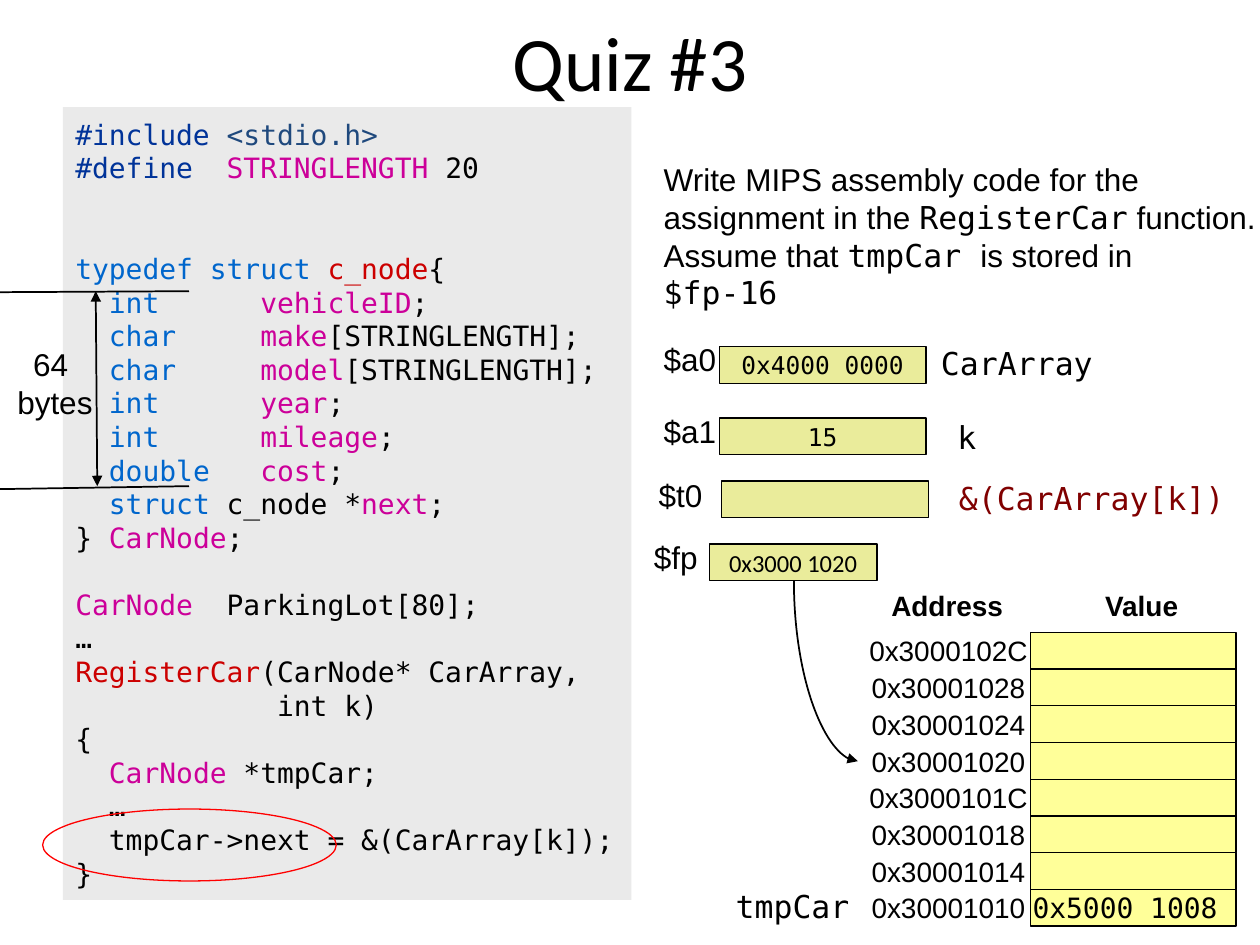
from dataclasses import dataclass
from typing import NamedTuple

from lxml import etree
from pptx import Presentation
from pptx.dml.color import RGBColor
from pptx.enum.shapes import MSO_CONNECTOR, MSO_SHAPE
from pptx.enum.text import MSO_ANCHOR, MSO_AUTO_SIZE, PP_ALIGN
from pptx.oxml.ns import qn
from pptx.util import Cm, Pt

RECT, OVAL = MSO_SHAPE.RECTANGLE, MSO_SHAPE.OVAL
LINE, CURVE = MSO_CONNECTOR.STRAIGHT, MSO_CONNECTOR.CURVE
LEFT, MID = PP_ALIGN.LEFT, PP_ALIGN.CENTER
TOP, CENTER = MSO_ANCHOR.TOP, MSO_ANCHOR.MIDDLE
GROW = MSO_AUTO_SIZE.SHAPE_TO_FIT_TEXT
SANS, MONO, HEAD = "Arial", "DejaVu Sans Mono", "Calibri"
BLACK, NAVY, BLUE, RED, PINK = "000000", "003399", "0066CC", "CC0000", "CC0099"
MAROON, OLIVE, YELLOW, GRAY = "800000", "EAEC9B", "FFFF99", "EAEAEA"
ROW = 0.74


class Run(NamedTuple):
    text: str
    ink: str = BLACK
    face: str = ""


@dataclass
class Para:
    runs: list[Run]
    gap: float = 0


@dataclass
class Style:
    face: str = SANS
    size: float = 18
    align: PP_ALIGN = LEFT
    anchor: MSO_ANCHOR = TOP
    bold: bool = False
    wrap: bool = False


class Box(NamedTuple):
    x: float
    y: float
    w: float
    h: float = 1.02


class Label(NamedTuple):
    text: str
    box: Box
    style: Style
    ink: str = BLACK


class Cell(NamedTuple):
    text: str
    box: Box
    face: str = MONO
    size: float = 14
    fill: str = OLIVE
    wrap: bool = True


def color(code: str) -> RGBColor:
    return RGBColor.from_string(code)


def plain(text: str, ink: str = BLACK) -> Para:
    return Para([Run(text, ink)])


def field(kind: str, name: str, tail: str = ";") -> Para:
    return Para([Run("  "), Run(kind.ljust(9), BLUE), Run(name, PINK), Run(tail)])


def write(shape, paras: list[Para], style: Style) -> None:
    frame = shape.text_frame
    frame.word_wrap = style.wrap
    frame.vertical_anchor = style.anchor
    for i, para in enumerate(paras):
        p = frame.add_paragraph() if i else frame.paragraphs[0]
        p.alignment = style.align
        p.font.size, p.font.bold = Pt(style.size), style.bold
        if para.gap:
            p.space_before = Pt(para.gap)
        inks = {run.ink for run in para.runs}
        faces = {run.face or style.face for run in para.runs}
        if len(inks) == 1:
            p.font.color.rgb = color(para.runs[0].ink)
        if len(faces) == 1:
            p.font.name = faces.pop()
        for run in para.runs:
            r = p.add_run()
            r.text = run.text
            if len(inks) > 1:
                r.font.color.rgb = color(run.ink)
            if faces:
                r.font.name = run.face or style.face


def place(box: Box) -> list[Cm]:
    return [Cm(n) for n in box]


def note(slide, box: Box, paras: list[Para], style: Style) -> None:
    text = slide.shapes.add_textbox(*place(box))
    write(text, paras, style)
    if not style.wrap:
        text.text_frame.auto_size = GROW


def shape(slide, kind: MSO_SHAPE, box: Box, fill: str = "", edge: str = ""):
    item = slide.shapes.add_shape(kind, *place(box))
    item.shadow.inherit = False
    if fill:
        item.fill.solid()
        item.fill.fore_color.rgb = color(fill)
    else:
        item.fill.background()
    if edge:
        item.line.color.rgb = color(edge)
        item.line.width = Pt(0.75)
    else:
        item.line.fill.background()
    return item


def link(slide, kind: MSO_CONNECTOR, ends: Box, tips: tuple[str, ...] = ()):
    item = slide.shapes.add_connector(kind, *place(ends))
    item.line.color.rgb = color(BLACK)
    item.line.width = Pt(1)
    for tip in tips:
        etree.SubElement(item.line._get_or_add_ln(), qn(tip), type="triangle")
    etree.SubElement(item._element.spPr, qn("a:effectLst"))
    return item


CODE = [
    Para([Run("#include ", NAVY), Run("<stdio.h>", "1F497D")]),
    Para([Run("#define  ", NAVY), Run("STRINGLENGTH", PINK), Run(" 20")]),
    Para([Run("typedef struct ", BLUE), Run("c_node", RED), Run("{")], 38.4),
    field("int", "vehicleID"),
    field("char", "make", "[STRINGLENGTH];"),
    field("char", "model", "[STRINGLENGTH];"),
    field("int", "year"),
    field("int", "mileage"),
    field("double", "cost"),
    Para([Run("  "), Run("struct ", BLUE), Run("c_node *"), Run("next", PINK), Run(";")]),
    Para([Run("} "), Run("CarNode", PINK), Run(";")]),
    Para([Run("CarNode  ", PINK), Run("ParkingLot[80];")], 19.2),
    plain("…"),
    Para([Run("RegisterCar", RED), Run("(CarNode* CarArray,")]),
    plain("            int k)"),
    plain("{"),
    Para([Run("  "), Run("CarNode", PINK), Run(" *tmpCar;")]),
    plain("  …"),
    plain("  tmpCar->next = &(CarArray[k]);"),
    plain("}"),
]
TASK = [
    plain("Write MIPS assembly code for the"),
    Para([Run("assignment in the "), Run("RegisterCar", face=MONO), Run(" function.")]),
    Para([Run("Assume that "), Run("tmpCar ", face=MONO), Run("is stored in")]),
    Para([Run("$fp-16", face=MONO)]),
]
BODY, TERM = Style(), Style(MONO)
TITLE = Style(HEAD, 44, MID, CENTER, wrap=True)
TOPIC = Style(size=16, align=MID, anchor=CENTER, bold=True)
PLACE = Style(size=16, align=MID, anchor=CENTER)
LABELS = [
    Label("Quiz #3", Box(1.27, -0.36, 22.86, 3.18), TITLE),
    Label("$a0", Box(13.13, 6.73, 1.57), BODY),
    Label("$a1", Box(13.13, 8.18, 1.57), BODY),
    Label("$t0", Box(13.03, 9.47, 1.4), BODY),
    Label("$fp", Box(12.93, 10.72, 1.4), BODY),
    Label("CarArray", Box(18.72, 6.81, 3.61), TERM),
    Label("k", Box(19.05, 8.31, 0.91), TERM),
    Label("&(CarArray[k])", Box(19.08, 9.53, 5.89), TERM, MAROON),
    Label("tmpCar", Box(14.58, 17.75, 2.82), TERM),
    Label("Address", Box(17.7, 11.73, 2.79, 0.94), TOPIC),
    Label("Value", Box(22, 11.73, 2.03, 0.94), TOPIC),
]
CELLS = [
    Cell("0x4000 0000", Box(14.5, 6.99, 4.17, ROW)),
    Cell("15", Box(14.5, 8.43, 4.17, ROW)),
    Cell("", Box(14.55, 9.7, 4.17, ROW)),
    Cell("0x3000 1020", Box(14.3, 10.97, 3.38, ROW), HEAD),
]
for row in range(8):
    spot = f"0x{0x3000102C - 4 * row:X}"
    value = "0x5000 1008 " if row == 7 else ""
    LABELS.append(Label(spot, Box(17.21, 12.65 + ROW * row, 3.82, 0.94), PLACE))
    CELLS.append(Cell(value, Box(20.78, 12.75 + ROW * row, 4.14, ROW), MONO, 16, YELLOW, False))


def main() -> None:
    deck = Presentation()
    deck.slide_width, deck.slide_height = Cm(25.4), Cm(19.05)
    slide = deck.slides.add_slide(deck.slide_layouts[6])
    panel = shape(slide, RECT, Box(1.27, 2.16, 11.46, 15.98), GRAY)
    write(panel, CODE, Style(MONO, 16, anchor=CENTER))
    note(slide, Box(13.13, 3.1, 12.6, 3.33), TASK, BODY)
    for text, box, style, ink in LABELS:
        note(slide, box, [plain(text, ink)], style)
    for cell in CELLS:
        item = shape(slide, RECT, cell.box, cell.fill, BLACK)
        if cell.text:
            style = Style(cell.face, cell.size, MID, CENTER, wrap=cell.wrap)
            write(item, [plain(cell.text)], style)
    curve = link(slide, CURVE, Box(18.47, 12.88, 14.83, 14.17), ("a:tailEnd",))
    curve._element.spPr.find(qn("a:prstGeom")).set("prst", "curvedConnector2")
    curve._element.spPr.find(qn("a:xfrm")).set("rot", "16200000")
    shape(slide, OVAL, Box(0.86, 16.31, 5.92, 1.45), edge="FF0000")
    link(slide, LINE, Box(0, 9.86, 3.81, 9.8))
    link(slide, LINE, Box(0, 5.89, 3.81, 5.87))
    link(slide, LINE, Box(1.96, 9.8, 1.93, 5.87), ("a:headEnd", "a:tailEnd"))
    note(slide, Box(-0.1, 6.83, 2.24, 1.8), [plain("64"), plain(" bytes")], Style(align=MID))
    deck.save("out.pptx")


if __name__ == "__main__":
    main()
